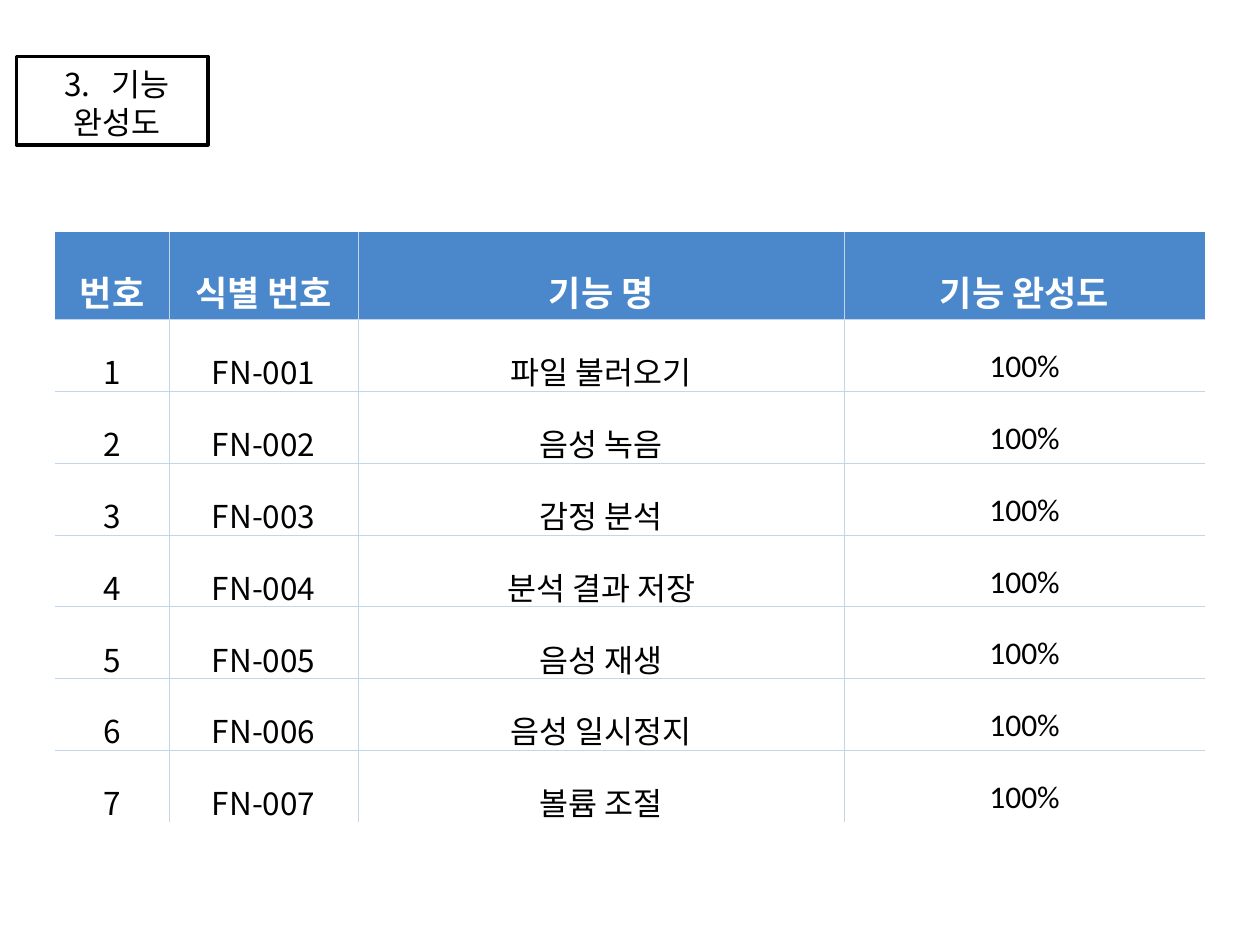
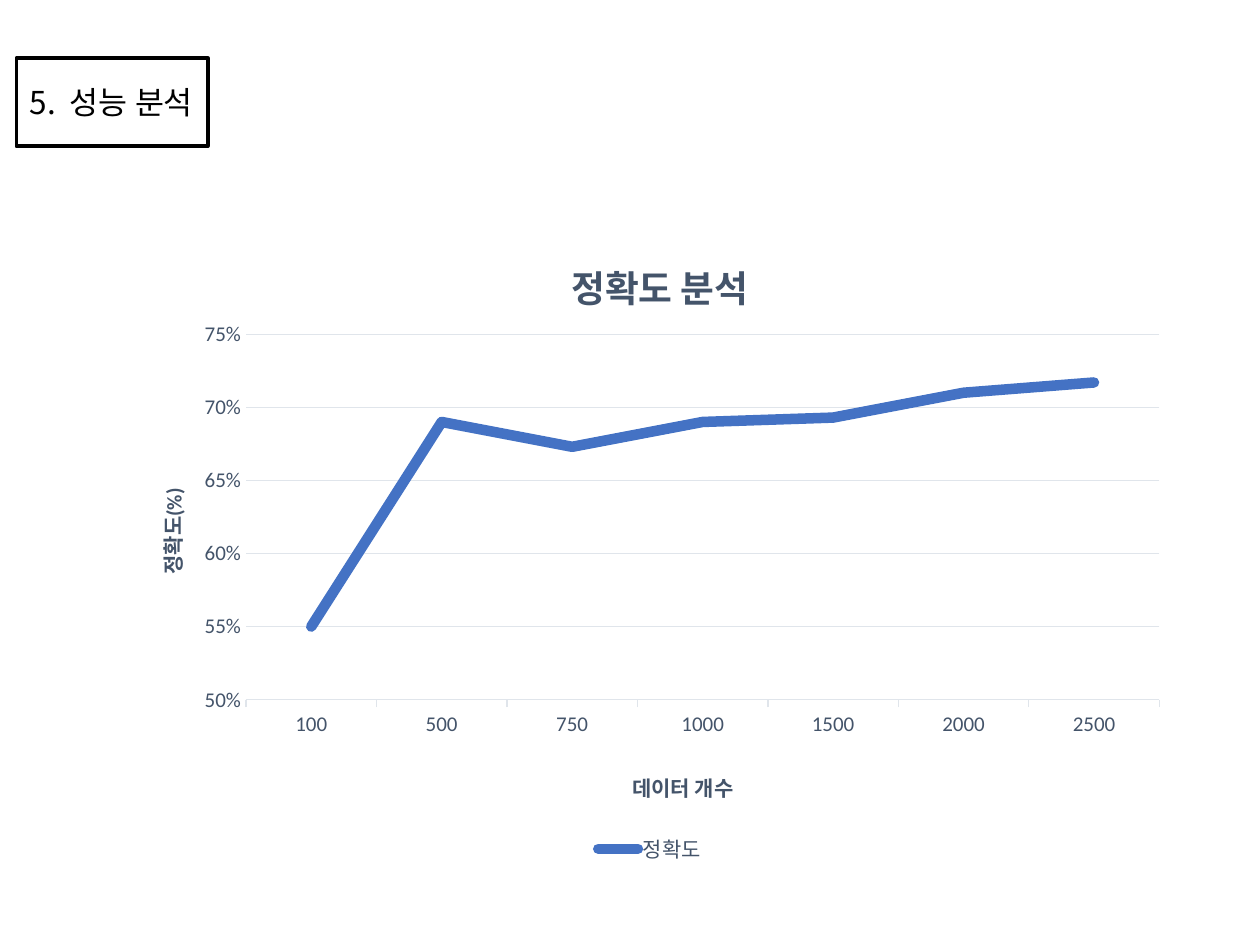
from lxml import etree
from pptx import Presentation
from pptx.chart import data as cd
from pptx.dml import color
from pptx.enum import chart as ce, shapes, text
from pptx.oxml import ns, xmlchemy as xc
from pptx.util import Cm, Pt

NOTO, CALIBRI = "Noto Sans CJK KR", "Calibri"
BLACK, WHITE = "000000", "FFFFFF"
HEADER, RULE = "4B87CB", "C1D6ED"
SLATE, GRID, SERIES = "44546A", "E0E5EB", "4472C4"


def rgb(value):
    return color.RGBColor.from_string(value)


def sub(parent, tag, **attrs):
    return etree.SubElement(parent, ns.qn(tag), attrs)


def set_font(font, hex_color, **values):
    for name, value in values.items():
        setattr(font, name, value)
    font.color.rgb = rgb(hex_color)


def set_line(line, hex_color, width):
    line.color.rgb = rgb(hex_color)
    line.width = width


def add_run(p, words, hex_color, **values):
    r = p.add_run()
    r.text = words
    set_font(r.font, hex_color, **values)
    sub(r.font._element, "a:ea", typeface=NOTO)
    return r


def heading(s, number, title, frame, label):
    tf = s.shapes.add_textbox(*map(Cm, label)).text_frame
    tf.word_wrap = True
    p = tf.paragraphs[0]
    p.alignment = text.PP_ALIGN.CENTER
    style = {"size": Pt(18), "name": NOTO}
    add_run(p, number, BLACK, **style)
    gap = add_run(p, " ", BLACK, **style)
    gap.font._element.set("spc", "400")
    add_run(p, title, BLACK, **style)
    sp = s.shapes.add_shape(shapes.MSO_SHAPE.RECTANGLE, *map(Cm, frame))
    sp.shadow.inherit = False
    sp.fill.background()
    set_line(sp.line, BLACK, Pt(2))


def set_borders(cell, inner_sides):
    tc_pr = cell._tc.get_or_add_tcPr()
    for i, (side, inner) in enumerate(inner_sides.items()):
        ln = etree.Element(ns.qn("a:ln" + side), w=str(Pt(0.28)))
        if inner:
            sub(sub(ln, "a:solidFill"), "a:srgbClr", val=RULE)
        else:
            sub(ln, "a:noFill")
        tc_pr.insert(i, ln)


def feature_table(s, left, top, widths, heights, rows):
    shape = s.shapes.add_table(len(rows), len(widths), Cm(left), Cm(top),
                               Cm(sum(widths)), Cm(sum(heights)))
    table = shape.table
    table.horz_banding = False
    for column, width in zip(table.columns, widths):
        column.width = Cm(width)
    margins = {"margin_left": Cm(0.13), "margin_right": Cm(0.13),
               "margin_top": Cm(0.03), "margin_bottom": Cm(0.03)}
    last_row, last_col = len(rows) - 1, len(widths) - 1
    for i, row in enumerate(rows):
        table.rows[i].height = Cm(heights[i])
        for j, words in enumerate(row):
            cell = table.cell(i, j)
            for name, value in margins.items():
                setattr(cell, name, value)
            cell.vertical_anchor = text.MSO_ANCHOR.MIDDLE
            cell.fill.solid()
            cell.fill.fore_color.rgb = rgb(WHITE if i else HEADER)
            set_borders(cell, {"L": j > 0, "R": j < last_col,
                               "T": i > 0, "B": i < last_row})
            p = cell.text_frame.paragraphs[0]
            p.alignment = text.PP_ALIGN.CENTER
            p.line_spacing = 1.6
            name = NOTO if i and j < last_col else CALIBRI
            add_run(p, words, BLACK if i else WHITE, name=name,
                    size=Pt(18 if i else 20), bold=not i)


def place(element, index, **box):
    for old in element.findall(ns.qn("c:layout")):
        element.remove(old)
    layout = etree.Element(ns.qn("c:layout"))
    manual = sub(layout, "c:manualLayout")
    if "w" in box:
        sub(manual, "c:layoutTarget", val="inner")
    for mode in ("xMode", "yMode"):
        sub(manual, "c:" + mode, val="edge")
    for key, value in box.items():
        sub(manual, "c:" + key, val=str(value))
    element.insert(index, layout)


def chart_title(title, words, size, x, y):
    tf = title.text_frame
    add_run(tf.paragraphs[0], words, SLATE, name=CALIBRI, size=Pt(size), bold=True)
    place(title._element, 1, x=x, y=y)
    return tf


def accuracy_chart(s, box, categories, values):
    data = cd.CategoryChartData(number_format="0%")
    data.categories = categories
    data.add_series("정확도", values)
    chart = s.shapes.add_chart(ce.XL_CHART_TYPE.LINE, *map(Cm, box), data).chart
    set_font(chart.font, BLACK, name=CALIBRI, size=Pt(10))
    place(chart._chartSpace.chart.plotArea, 0, x=0.12, y=0.18, w=0.86, h=0.56)
    chart_title(chart.chart_title, "정확도 분석", 21, 0.42, 0.05)

    axis_font = {"name": CALIBRI, "size": Pt(12)}
    cat, val = chart.category_axis, chart.value_axis
    chart_title(cat.axis_title, "데이터 개수", 12, 0.48, 0.84)
    tf = chart_title(val.axis_title, "정확도(%)", 12, 0.03, 0.41)
    tf._txBody.bodyPr.set("rot", "-5400000")
    set_line(cat.format.line, GRID, Pt(0.75))
    cat.major_tick_mark = ce.XL_TICK_MARK.OUTSIDE
    scale = {"minimum_scale": 0.5, "maximum_scale": 0.75, "major_unit": 0.05,
             "major_tick_mark": ce.XL_TICK_MARK.NONE}
    for name, value in scale.items():
        setattr(val, name, value)
    val.format.line.fill.background()
    set_line(val.major_gridlines.format.line, GRID, Pt(0.75))
    val.tick_labels.number_format = "0%"
    val.tick_labels.number_format_is_linked = False

    chart.has_legend = True
    chart.legend.position = ce.XL_LEGEND_POSITION.BOTTOM
    chart.legend.include_in_layout = False
    for part in (cat.tick_labels, val.tick_labels, chart.legend):
        set_font(part.font, SLATE, **axis_font)

    plot = chart.plots[0]
    plot.vary_by_categories = False
    series = plot.series[0]
    series.smooth = False
    series.marker.style = ce.XL_MARKER_STYLE.NONE
    set_line(series.format.line, SERIES, Pt(6))
    ln = series.format.line._ln
    ln.set("cap", "rnd")
    sub(ln, "a:round")


def main():
    prs = Presentation()
    prs.slide_width, prs.slide_height = Cm(25.4), Cm(19.05)
    blank = prs.slide_layouts[6]

    s = prs.slides.add_slide(blank)
    heading(s, "3.", " 기능 완성도", (0.33, 1.14, 3.86, 1.78), (0.33, 1.19, 4.06, 1.8))
    features = ["파일 불러오기", "음성 녹음", "감정 분석", "분석 결과 저장",
                "음성 재생", "음성 일시정지", "볼륨 조절"]
    rows = [["번호", "식별 번호", "기능 명", "기능 완성도"]]
    rows += [[str(n), f"FN-{n:03}", feature, "100%"]
             for n, feature in enumerate(features, 1)]
    feature_table(s, 1.11, 4.68, [2.3, 3.81, 9.8, 7.27],
                  [1.75] + [1.45] * len(features), rows)

    s = prs.slides.add_slide(blank)
    heading(s, "5.", "성능 분석", (0.33, 1.17, 3.86, 1.78), (0.2, 1.55, 4.09, 1.02))
    accuracy_chart(s, (2.39, 4.37, 21.41, 13.16),
                   ["100", "500", "750", "1000", "1500", "2000", "2500"],
                   [0.55, 0.69, 0.673, 0.69, 0.693, 0.71, 0.717])
    prs.save("out.pptx")


if __name__ == "__main__":
    main()
